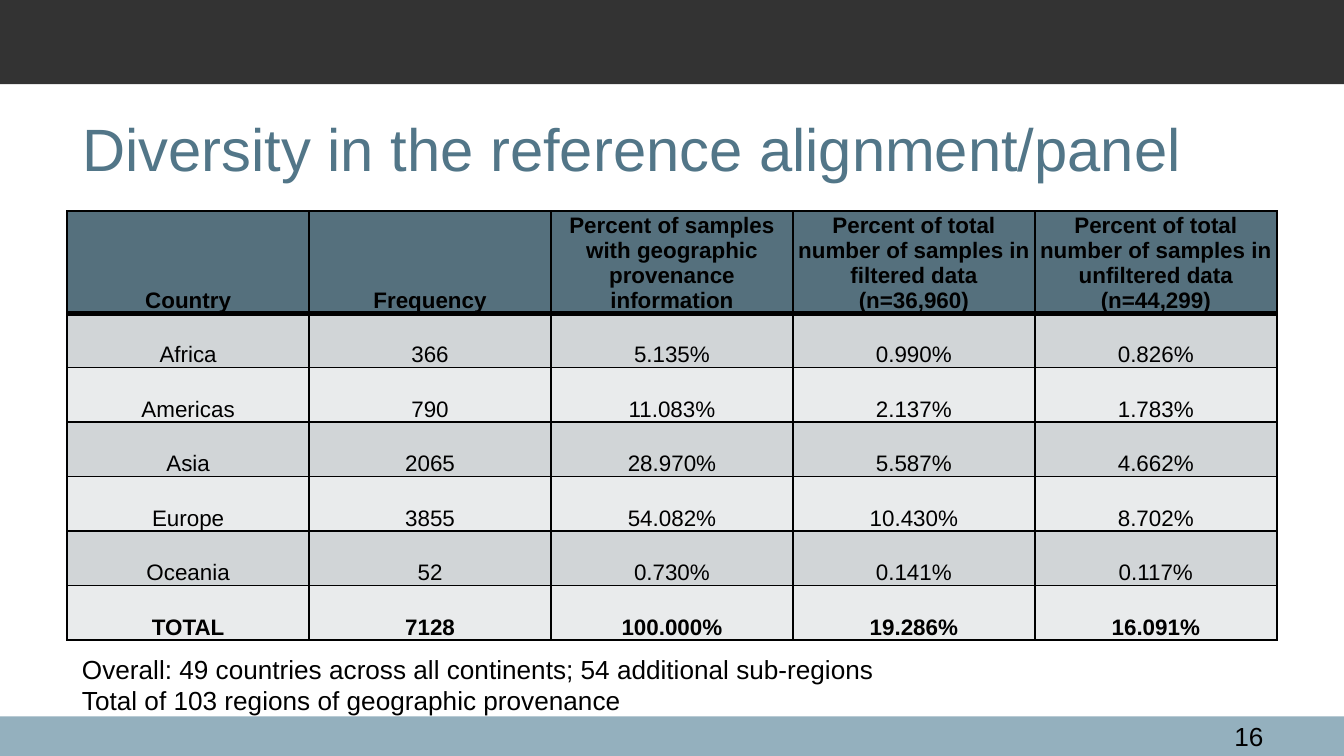
from dataclasses import dataclass

from lxml import etree
from pptx import Presentation
from pptx.dml.color import RGBColor
from pptx.enum.shapes import MSO_SHAPE
from pptx.enum.text import MSO_ANCHOR, MSO_AUTO_SIZE, PP_ALIGN
from pptx.oxml.ns import qn
from pptx.util import Cm, Pt

RECTANGLE = MSO_SHAPE.RECTANGLE
MIDDLE, BOTTOM = MSO_ANCHOR.MIDDLE, MSO_ANCHOR.BOTTOM
LEFT, CENTER, RIGHT = PP_ALIGN.LEFT, PP_ALIGN.CENTER, PP_ALIGN.RIGHT
NO_FIT, GROW = MSO_AUTO_SIZE.NONE, MSO_AUTO_SIZE.SHAPE_TO_FIT_TEXT

TITLE = "Diversity in the reference alignment/panel"
PAGE_NUMBER = "16"
SUMMARY = [
    "Overall: 49 countries across all continents; 54 additional sub-regions",
    "Total of 103 regions of geographic provenance",
]
ROWS = [
    ("Country", "Frequency",
     "Percent of samples with geographic provenance information",
     "Percent of total number of samples in filtered data (n=36,960)",
     "Percent of total number of samples in unfiltered data (n=44,299)"),
    ("Africa", "366", "5.135%", "0.990%", "0.826%"),
    ("Americas", "790", "11.083%", "2.137%", "1.783%"),
    ("Asia", "2065", "28.970%", "5.587%", "4.662%"),
    ("Europe", "3855", "54.082%", "10.430%", "8.702%"),
    ("Oceania", "52", "0.730%", "0.141%", "0.117%"),
    ("TOTAL", "7128", "100.000%", "19.286%", "16.091%"),
]


@dataclass(frozen=True)
class Theme:
    font: str = "Arial"
    text: str = "000000"
    title: str = "527688"
    top_band: str = "333333"
    bottom_band: str = "94B0BE"
    header: str = "55707D"
    odd_row: str = "D1D5D7"
    even_row: str = "E9EBEC"
    title_size: int = 32
    body_size: int = 14
    table_size: int = 12
    thin: int = 1
    thick: int = 3


THEME = Theme()
WIDTH, HEIGHT = 25.4, 14.29
HEADER_HEIGHT, ROW_HEIGHT = 1.93, 1.03


def write_text(frame, lines, size=THEME.body_size, color=THEME.text, bold=False, align=LEFT):
    for index, line in enumerate(lines):
        para = frame.paragraphs[0] if index == 0 else frame.add_paragraph()
        para.alignment = align
        span = para.add_run()
        span.text = line
        span.font.name = THEME.font
        span.font.size = Pt(size)
        span.font.bold = bold
        span.font.color.rgb = RGBColor.from_string(color)


def add_band(page, top, height, color):
    band = page.shapes.add_shape(RECTANGLE, 0, Cm(top), Cm(WIDTH), Cm(height))
    band.shadow.inherit = False
    band.fill.solid()
    band.fill.fore_color.rgb = RGBColor.from_string(color)
    band.line.fill.background()


def add_text(page, lines, left, top, width, height, wrap=True, fit=NO_FIT, **text_format):
    box = page.shapes.add_textbox(Cm(left), Cm(top), Cm(width), Cm(height))
    box.text_frame.word_wrap = wrap
    box.text_frame.auto_size = fit
    write_text(box.text_frame, lines, **text_format)


def add_border(cell, side, width):
    properties = cell._tc.get_or_add_tcPr()
    line = etree.SubElement(properties, qn(f"a:ln{side}"), w=str(Pt(width)))
    fill = etree.SubElement(line, qn("a:solidFill"))
    etree.SubElement(fill, qn("a:srgbClr"), val=THEME.text)


def row_color(row):
    if row == 0:
        return THEME.header
    return THEME.odd_row if row % 2 else THEME.even_row


def format_cell(cell, row, text):
    cell.margin_left = cell.margin_right = cell.margin_top = Cm(0.03)
    cell.margin_bottom = 0
    cell.vertical_anchor = BOTTOM
    # The rule under the header is shared by the first two rows.
    heavy_side = {0: "B", 1: "T"}.get(row)
    for side in "LRTB":
        add_border(cell, side, THEME.thick if side == heavy_side else THEME.thin)
    cell.fill.solid()
    cell.fill.fore_color.rgb = RGBColor.from_string(row_color(row))
    write_text(cell.text_frame, [text], size=THEME.table_size,
               bold=row in (0, len(ROWS) - 1), align=CENTER)


def add_diversity_table(page, left, top, width):
    height = HEADER_HEIGHT + ROW_HEIGHT * (len(ROWS) - 1)
    table = page.shapes.add_table(len(ROWS), len(ROWS[0]), Cm(left), Cm(top),
                                  Cm(width), Cm(height)).table
    for row, texts in enumerate(ROWS):
        table.rows[row].height = Cm(ROW_HEIGHT if row else HEADER_HEIGHT)
        for column, text in enumerate(texts):
            format_cell(table.cell(row, column), row, text)


def set_title(page):
    title = page.shapes.title
    title.left, title.top, title.width, title.height = Cm(1.3), Cm(1.6), Cm(22.86), Cm(2.39)
    title.text_frame.vertical_anchor = MIDDLE
    title.text_frame.word_wrap = True
    write_text(title.text_frame, [TITLE], size=THEME.title_size, color=THEME.title)


def main():
    deck = Presentation()
    deck.slide_width, deck.slide_height = Cm(WIDTH), Cm(HEIGHT)
    page = deck.slides.add_slide(deck.slide_layouts[5])
    add_band(page, 13.54, 0.75, THEME.bottom_band)
    add_band(page, 0, 1.59, THEME.top_band)
    set_title(page)
    add_diversity_table(page, 1.27, 3.99, 22.86)
    add_text(page, [PAGE_NUMBER], 22.5, 13.49, 1.63, 0.46, align=RIGHT)
    add_text(page, SUMMARY, 1.3, 12.22, 15.54, 1.45, wrap=False, fit=GROW)
    deck.save("out.pptx")


if __name__ == "__main__":
    main()
